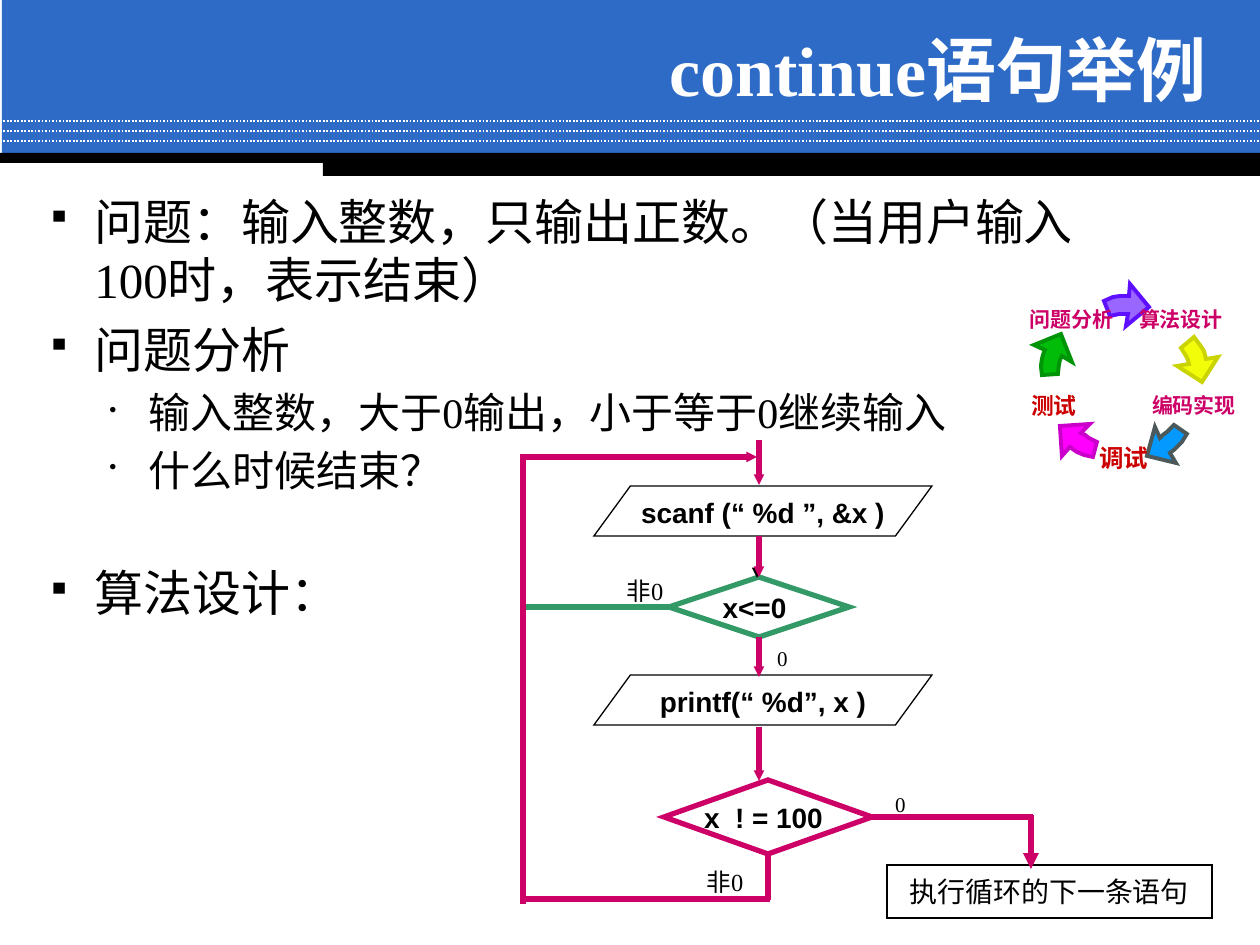
import math
from dataclasses import dataclass

from lxml import etree
from pptx import Presentation
from pptx import util as u
from pptx.dml.color import RGBColor
from pptx.enum import dml, shapes, text
from pptx.oxml.ns import qn

EMU_PER_PX = 914400 / 126
TOP, LEFT, BOTTOM, RIGHT = range(4)


@dataclass(frozen=True)
class Theme:
    band: str = "2D6BC7"
    white: str = "FFFFFF"
    ink: str = "000000"
    flow: str = "CC0066"
    branch: str = "339966"
    stage: str = "CC0066"
    test: str = "CC0000"
    serif: str = "Times New Roman"
    sans: str = "Arial"
    title: int = 40
    body: int = 28
    sub: int = 24
    step: int = 16
    answer: int = 14
    small: int = 12
    flow_line: float = 3
    cycle_line: float = 2.25


THEME = Theme()

# One cycle arrow, relative to the centre of the ring
ARROW = [(4, -67), (0, -67), (-5, -67), (-14, -65), (-20, -80), (-11, -84),
         (-4, -85), (0, -85), (5, -85), (6, -97), (25, -74), (2, -55)]
CYCLE_CENTRE = (1124, 381)
CYCLE_COLOURS = [("9966FF", "5F0FFF"), ("F1FD09", "CAD402"), ("0399FF", "4B595B"),
                 ("FF00FF", "CA00CA"), ("01BD0A", "019308")]
# Wording, centre, type size, colour
CYCLE_STAGES = [("问题分析", 1072, 319, THEME.small, THEME.stage),
                ("算法设计", 1181, 319, THEME.small, THEME.stage),
                ("编码实现", 1194, 405, THEME.small, THEME.stage),
                ("调试", 1124, 458, 14, THEME.test),
                ("测试", 1054, 405, 13, THEME.test)]

# Wording, level, space before in points
POINTS = [("问题：输入整数，只输出正数。（当用户输入100时，表示结束）", 0, 0),
          ("问题分析", 0, 6),
          ("输入整数，大于0输出，小于等于0继续输入", 1, 5),
          ("什么时候结束？", 1, 4),
          ("算法设计：", 0, 39)]
# Bullet, its size in percent, text indent, hanging indent, type size
LEVELS = [("▪", 70, 48, 48, THEME.body), ("•", 50, 102, 39, THEME.sub)]


def px(length):
    return u.Emu(round(length * EMU_PER_PX))


def rgb(colour):
    return RGBColor.from_string(colour)


def set_font(paragraph, size, colour, name, bold=False):
    font = paragraph.font
    font.size, font.name, font.bold = u.Pt(size), name, bold
    font.color.rgb = rgb(colour)


def set_text(shape, words, size, colour, name, bold=False, wrap=False,
             align=text.PP_ALIGN.CENTER, anchor=text.MSO_ANCHOR.MIDDLE,
             margins=(0, 0, 0, 0)):
    """Write one paragraph; margins are left, top, right, bottom."""
    frame = shape.text_frame
    frame.word_wrap, frame.vertical_anchor = wrap, anchor
    (frame.margin_left, frame.margin_top,
     frame.margin_right, frame.margin_bottom) = map(px, margins)
    paragraph = frame.paragraphs[0]
    paragraph.text, paragraph.alignment = words, align
    set_font(paragraph, size, colour, name, bold)


def paint(shape, fill=None, line=None, width=1):
    shape.shadow.inherit = False
    for part, colour in ((shape.fill, fill), (shape.line.fill, line)):
        if colour:
            part.solid()
            part.fore_color.rgb = rgb(colour)
        else:
            part.background()
    if line:
        shape.line.width = u.Pt(width)
        etree.SubElement(shape.line._get_or_add_ln(), qn("a:miter"), lim="800000")


def add_box(slide, kind, box, fill=None, line=None, width=1):
    shape = slide.shapes.add_shape(kind, *map(px, box))
    paint(shape, fill, line, width)
    return shape


def add_label(slide, box, words, *style, **layout):
    label = slide.shapes.add_textbox(*map(px, box))
    set_text(label, words, *style, **layout)


def add_line(slide, start, end, colour=THEME.flow, width=THEME.flow_line,
             head=None, source=None, target=None):
    """Draw a line; head is an arrowhead size, source and target are (shape, side)."""
    line = slide.shapes.add_connector(shapes.MSO_CONNECTOR.STRAIGHT,
                                      *map(px, (*start, *end)))
    line.line.color.rgb, line.line.width = rgb(colour), u.Pt(width)
    if source:
        line.begin_connect(*source)
    if target:
        line.end_connect(*target)
    if head:
        etree.SubElement(line.line._get_or_add_ln(), qn("a:tailEnd"),
                         type="triangle", w=head, len=head)
    etree.SubElement(line._element.spPr, qn("a:effectLst"))
    return line


def add_header(slide):
    rectangle = shapes.MSO_SHAPE.RECTANGLE
    add_box(slide, rectangle, (2, 0, 1258, 155), THEME.band)
    for y in (121, 131, 141):
        rule = add_line(slide, (0, y), (1260, y), THEME.white, 1)
        rule.line.dash_style = dml.MSO_LINE.ROUND_DOT
    add_box(slide, rectangle, (0, 153, 1260, 10), THEME.ink)
    add_box(slide, rectangle, (323, 156, 937, 20), THEME.ink)
    add_label(slide, (347, 32, 872, 73), "continue语句举例", THEME.title,
              THEME.white, THEME.serif, bold=True, wrap=True,
              align=text.PP_ALIGN.RIGHT, margins=(13, 6, 13, 6))


def add_points(slide):
    frame = slide.shapes.add_textbox(*map(px, (34, 185, 1121, 693))).text_frame
    frame.word_wrap = True
    for number, (words, level, gap) in enumerate(POINTS):
        paragraph = frame.add_paragraph() if number else frame.paragraphs[0]
        bullet, percent, indent, hanging, size = LEVELS[level]
        paragraph.text, paragraph.level = words, level
        paragraph.space_before = u.Pt(gap)
        set_font(paragraph, size, THEME.ink, THEME.serif)
        properties = paragraph._p.get_or_add_pPr()
        properties.set("marL", str(px(indent)))
        properties.set("indent", str(-px(hanging)))
        bullet_size = etree.Element(qn("a:buSzPct"), val=str(percent * 1000))
        bullet_mark = etree.Element(qn("a:buChar"), char=bullet)
        properties.find(qn("a:defRPr")).addprevious(bullet_size)
        bullet_size.addnext(bullet_mark)


def add_step(slide, kind, box, words, line, width, margins=(0, 2, 0, 0)):
    step = add_box(slide, kind, box, line=line, width=width)
    set_text(step, words, THEME.step, THEME.ink, THEME.sans, bold=True,
             margins=margins)
    return step


def add_flowchart(slide):
    for y, words in ((486, "scanf (“ %d ”, &x )"), (675, "printf(“ %d”, x )")):
        step = add_step(slide, shapes.MSO_SHAPE.PARALLELOGRAM, (594, y, 338, 50),
                        words, THEME.ink, 0.75)
        step.adjustments[0] = 0.73
    diamond, shift = shapes.MSO_SHAPE.DIAMOND, (0, 0, 9, 0)
    sign_test = add_step(slide, diamond, (669, 577, 180, 60), "x<=0",
                         THEME.branch, THEME.flow_line, shift)
    end_test = add_step(slide, diamond, (664, 780, 208, 74), "x  ! = 100",
                        THEME.flow, THEME.flow_line, shift)
    following = add_box(slide, shapes.MSO_SHAPE.RECTANGLE, (887, 865, 325, 53),
                        line=THEME.ink)
    set_text(following, "执行循环的下一条语句", THEME.step, THEME.ink, THEME.serif)

    add_line(slide, (757, 536), (757, 578), THEME.ink, 1, head="med")
    add_line(slide, (759, 440), (759, 485), head="sm")
    add_line(slide, (759, 536), (759, 577), head="sm", target=(sign_test, TOP))
    add_line(slide, (759, 637), (759, 677), head="sm", source=(sign_test, BOTTOM))
    add_line(slide, (759, 727), (759, 781), head="sm")
    add_line(slide, (669, 607), (520, 607), THEME.branch, source=(sign_test, LEFT))
    add_line(slide, (872, 817), (1033, 817), source=(end_test, RIGHT))
    add_line(slide, (1031, 815), (1031, 869), head="med")
    add_line(slide, (768, 854), (768, 900), source=(end_test, BOTTOM))
    add_line(slide, (770, 899), (523, 899))
    add_line(slide, (523, 904), (523, 457))
    add_line(slide, (520, 457), (757, 457), head="sm")

    for box, words, size in (((614, 570, 62, 42), "非0", THEME.answer),
                             ((694, 861, 62, 42), "非0", THEME.answer),
                             ((765, 640, 35, 38), "0", THEME.small),
                             ((883, 786, 35, 38), "0", THEME.small)):
        add_label(slide, box, words, size, THEME.ink, THEME.serif, wrap=True,
                  anchor=text.MSO_ANCHOR.TOP, margins=(12, 6, 12, 6))


def add_cycle(slide):
    centre_x, centre_y = CYCLE_CENTRE
    for number, (fill, line) in enumerate(CYCLE_COLOURS):
        angle = number * math.tau / len(CYCLE_COLOURS)
        cos, sin = math.cos(angle), math.sin(angle)
        outline = [(centre_x + x * cos - y * sin, centre_y + x * sin + y * cos)
                   for x, y in ARROW]
        builder = slide.shapes.build_freeform(*outline[0], scale=EMU_PER_PX)
        builder.add_line_segments(outline[1:], close=True)
        paint(builder.convert_to_shape(), fill, line, THEME.cycle_line)
    for words, x, y, size, colour in CYCLE_STAGES:
        add_label(slide, (x - 50, y - 19, 100, 38), words, size, colour,
                  THEME.sans, bold=True)


def main():
    deck = Presentation()
    deck.slide_width, deck.slide_height = px(1260), px(945)
    slide = deck.slides.add_slide(deck.slide_layouts[6])
    add_header(slide)
    add_points(slide)
    add_flowchart(slide)
    add_cycle(slide)
    deck.save("out.pptx")


if __name__ == "__main__":
    main()
